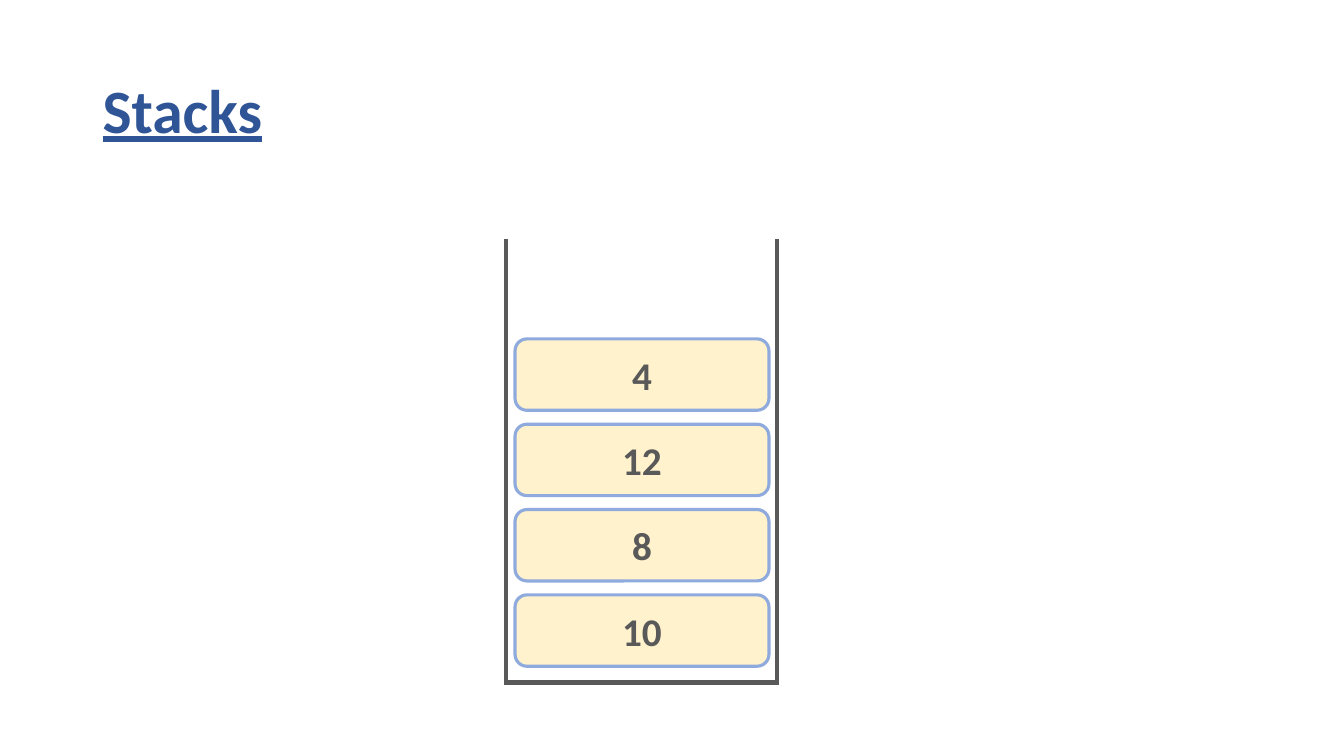
from lxml import etree
from pptx import Presentation
from pptx.dml.color import RGBColor
from pptx.enum.shapes import MSO_CONNECTOR, MSO_SHAPE
from pptx.enum.text import MSO_ANCHOR, PP_ALIGN
from pptx.oxml.ns import qn
from pptx.util import Cm, Pt

LINE = MSO_CONNECTOR.STRAIGHT
ROUND = MSO_SHAPE.ROUNDED_RECTANGLE
MIDDLE = MSO_ANCHOR.MIDDLE
LEFT, CENTER = PP_ALIGN.LEFT, PP_ALIGN.CENTER

NAVY = RGBColor(0x2F, 0x55, 0x97)
GREY = RGBColor(0x59, 0x59, 0x59)
CREAM = RGBColor(0xFF, 0xF2, 0xCC)
BLUE = RGBColor(0x8F, 0xAA, 0xDC)


class Deck:
    font = "Calibri"

    def __init__(self, pres):
        self.slide = pres.slides.add_slide(pres.slide_layouts[5])

    def label(self, shape, text, size, color, align):
        frame = shape.text_frame
        frame.word_wrap = True
        frame.vertical_anchor = MIDDLE
        para = frame.paragraphs[0]
        para.alignment = align
        run = para.add_run()
        run.text = text
        font = run.font
        font.name, font.size, font.bold = self.font, Pt(size), True
        font.color.rgb = color
        return run

    def title(self, text, left, top, width, height):
        shape = self.slide.shapes.title
        shape.left, shape.top = Cm(left), Cm(top)
        shape.width, shape.height = Cm(width), Cm(height)
        run = self.label(shape, text, 44, NAVY, LEFT)
        run.font.underline = True
        shape.text_frame.paragraphs[0].line_spacing = 0.9

    def wall(self, x1, y1, x2, y2):
        line = self.slide.shapes.add_connector(
            LINE, Cm(x1), Cm(y1), Cm(x2), Cm(y2))
        line.line.color.rgb = GREY
        line.line.width = Pt(3)
        etree.SubElement(line._element.spPr, qn("a:effectLst"))

    def box(self, text, left, top, width, height):
        shape = self.slide.shapes.add_shape(
            ROUND, Cm(left), Cm(top), Cm(width), Cm(height))
        shape.shadow.inherit = False
        shape.fill.solid()
        shape.fill.fore_color.rgb = CREAM
        shape.line.color.rgb = BLUE
        shape.line.width = Pt(2.25)
        self.label(shape, text, 28, GREY, CENTER)


def main():
    pres = Presentation()
    pres.slide_width, pres.slide_height = Cm(33.87), Cm(19.05)
    deck = Deck(pres)
    deck.title("Stacks", 2.33, 1.01, 29.21, 3.68)

    left, right, top, base = 12.75, 19.58, 6.02, 17.2
    for x in (left, right):
        deck.wall(x, top, x, base + 0.07)
    deck.wall(left, base, right, base)

    for i, value in enumerate(("10", "8", "12", "4")):
        deck.box(value, 12.98, 14.99 - i * 2.15, 6.4, 1.8)

    pres.save("out.pptx")


if __name__ == "__main__":
    main()
